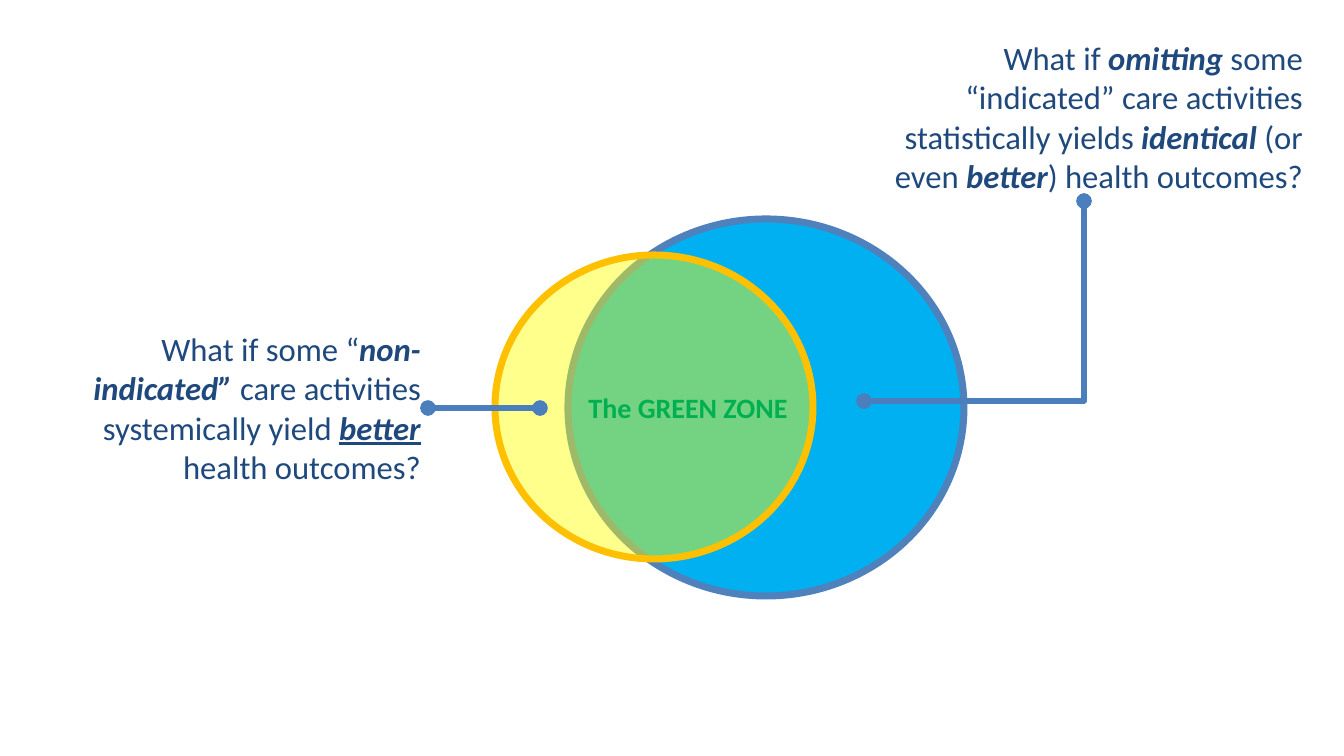
"""Build a slide of two overlapping care circles with linked questions."""
from lxml import etree
from pptx import Presentation
from pptx.dml.color import RGBColor
from pptx.enum.shapes import MSO_CONNECTOR, MSO_SHAPE
from pptx.enum.text import MSO_ANCHOR, PP_ALIGN
from pptx.oxml.ns import qn
from pptx.util import Emu, Pt

OVAL = MSO_SHAPE.OVAL
LINE, BENT = MSO_CONNECTOR.STRAIGHT, MSO_CONNECTOR.ELBOW
MID, RIGHT, TOP = PP_ALIGN.CENTER, PP_ALIGN.RIGHT, MSO_ANCHOR.TOP
PX = 914400 / 84
SIZE = (1344, 756)

THEME = {
    "font": "Calibri", "text": 28, "zone": 24, "ring": 6, "link": 4.5,
    "navy": "1F497D", "green": "00B050", "wire": "4B7EBC",
    "blue": "00B0F0", "edge": "4F81BD", "yellow": "FFFF00", "gold": "FFC000",
}

CIRCLES = [
    ((568, 219, 396, 377), "blue", "edge", 100),
    ((495, 255, 318, 304), "yellow", "gold", 45),
]
PLAIN, STRONG = {}, {"bold": True, "italic": True}
TEXTS = [
    ((569, 386, 238, 42), MID, "zone", "green",
     [("The GREEN ZONE", {"bold": True})]),
    ((17, 325, 412, 167), RIGHT, "text", "navy", [
        ("What if some “", PLAIN),
        ("non-indicated” ", STRONG),
        ("care activities systemically yield ", PLAIN),
        ("better", {**STRONG, "underline": True}),
        (" health outcomes?", PLAIN)]),
    ((856, 34, 455, 167), RIGHT, "text", "navy", [
        ("What if ", PLAIN),
        ("omitting", STRONG),
        (" some “indicated” care activities statistically yields ", PLAIN),
        ("identical ", STRONG),
        ("(or even ", PLAIN),
        ("better", STRONG),
        (") health outcomes?", PLAIN)]),
]
LINKS = [
    ((428, 408), (540, 408), LINE),
    ((1084, 201), (864, 401), BENT),
]


def emu(*vals):
    return [Emu(round(v * PX)) for v in vals]


def tint(name):
    return RGBColor.from_string(THEME[name])


def ring(shapes, box, fill, edge, alpha):
    disc = shapes.add_shape(OVAL, *emu(*box))
    disc.shadow.inherit = False
    disc.fill.solid()
    disc.fill.fore_color.rgb = tint(fill)
    disc.line.color.rgb = tint(edge)
    disc.line.width = Pt(THEME["ring"])
    if alpha < 100:
        clr = disc.fill._xPr.find(qn("a:solidFill"))[0]
        etree.SubElement(clr, qn("a:alpha"), val=str(alpha * 1000))


def write(shapes, box, align, size, color, runs):
    frame = shapes.add_textbox(*emu(*box)).text_frame
    frame.word_wrap = True
    frame.vertical_anchor = TOP
    para = frame.paragraphs[0]
    para.alignment = align
    for text, marks in runs:
        run = para.add_run()
        run.text = text
        look = {"name": THEME["font"], "size": Pt(THEME[size]), **marks}
        for key, val in look.items():
            setattr(run.font, key, val)
        run.font.color.rgb = tint(color)


def link(shapes, start, end, kind):
    wire = shapes.add_connector(kind, *emu(*start, *end))
    wire.line.color.rgb = tint("wire")
    wire.line.width = Pt(THEME["link"])
    props = wire._element.spPr
    if kind == BENT:
        (x1, y1), (x2, y2) = start, end
        wide, high = abs(y2 - y1), abs(x2 - x1)
        spot = emu((x1 + x2 - wide) / 2, (y1 + y2 - high) / 2, wide, high)
        for key, val in zip(("left", "top", "width", "height"), spot):
            setattr(wire, key, val)
        frame = props.find(qn("a:xfrm"))
        frame.attrib.pop("flipH", None)
        frame.set("rot", str(90 * 60000))
        props.find(qn("a:prstGeom")).set("prst", "bentConnector2")
    for tag in ("a:headEnd", "a:tailEnd"):
        etree.SubElement(props.find(qn("a:ln")), qn(tag), type="oval")
    etree.SubElement(props, qn("a:effectLst"))


def main():
    deck = Presentation()
    deck.slide_width, deck.slide_height = emu(*SIZE)
    shapes = deck.slides.add_slide(deck.slide_layouts[6]).shapes
    for draw, items in ((ring, CIRCLES), (write, TEXTS), (link, LINKS)):
        for item in items:
            draw(shapes, *item)
    deck.save("out.pptx")


if __name__ == "__main__":
    main()
